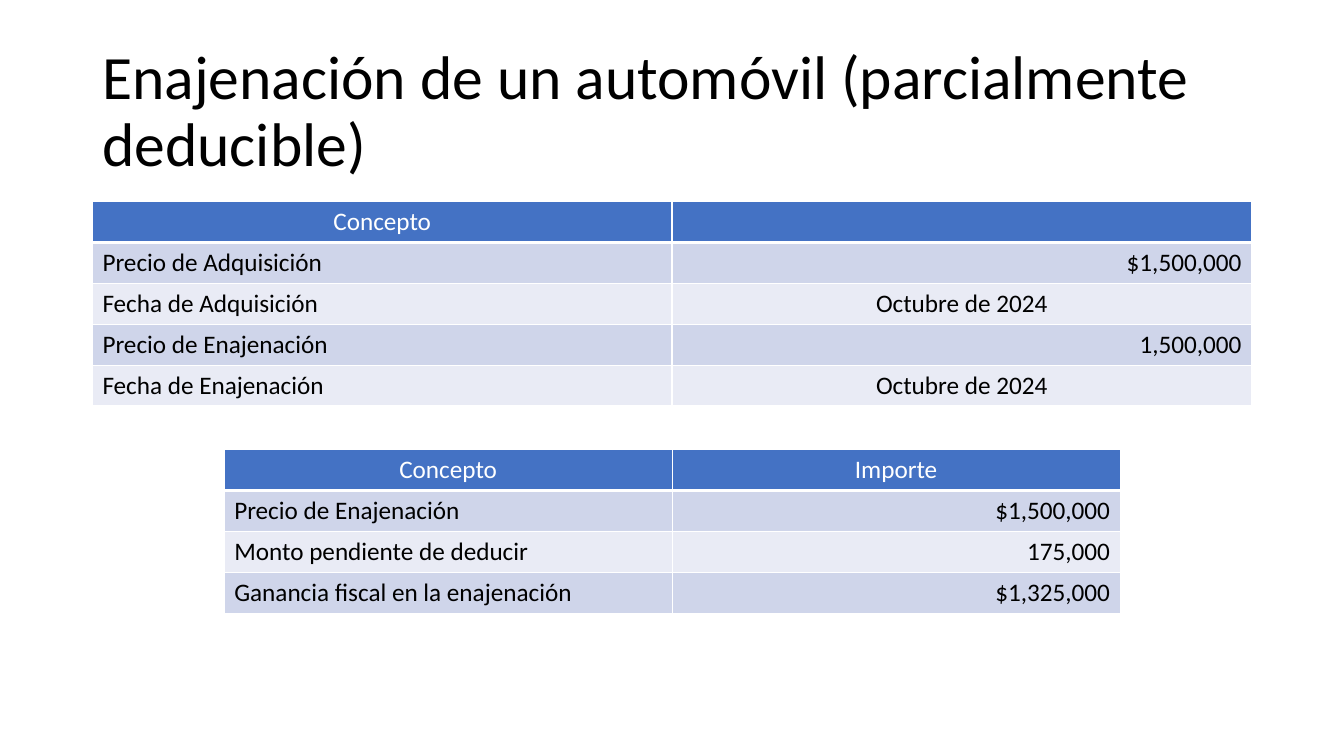
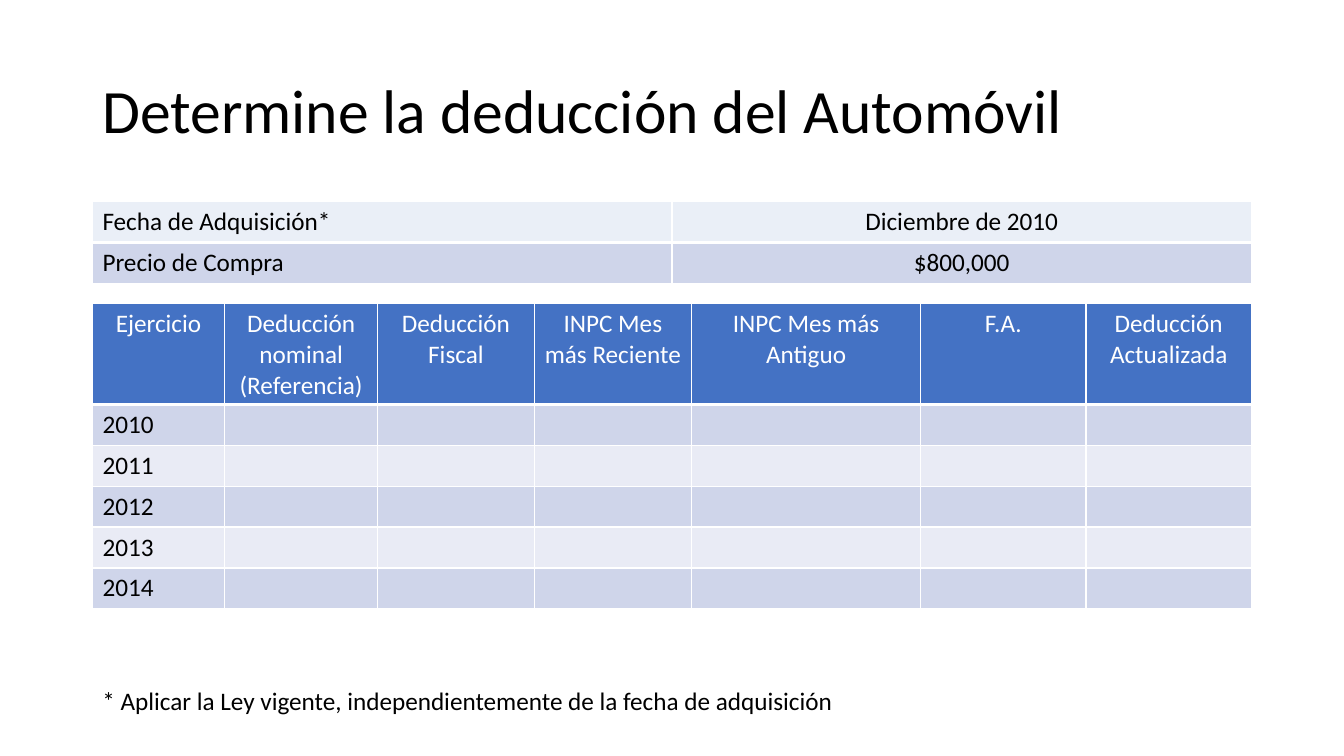
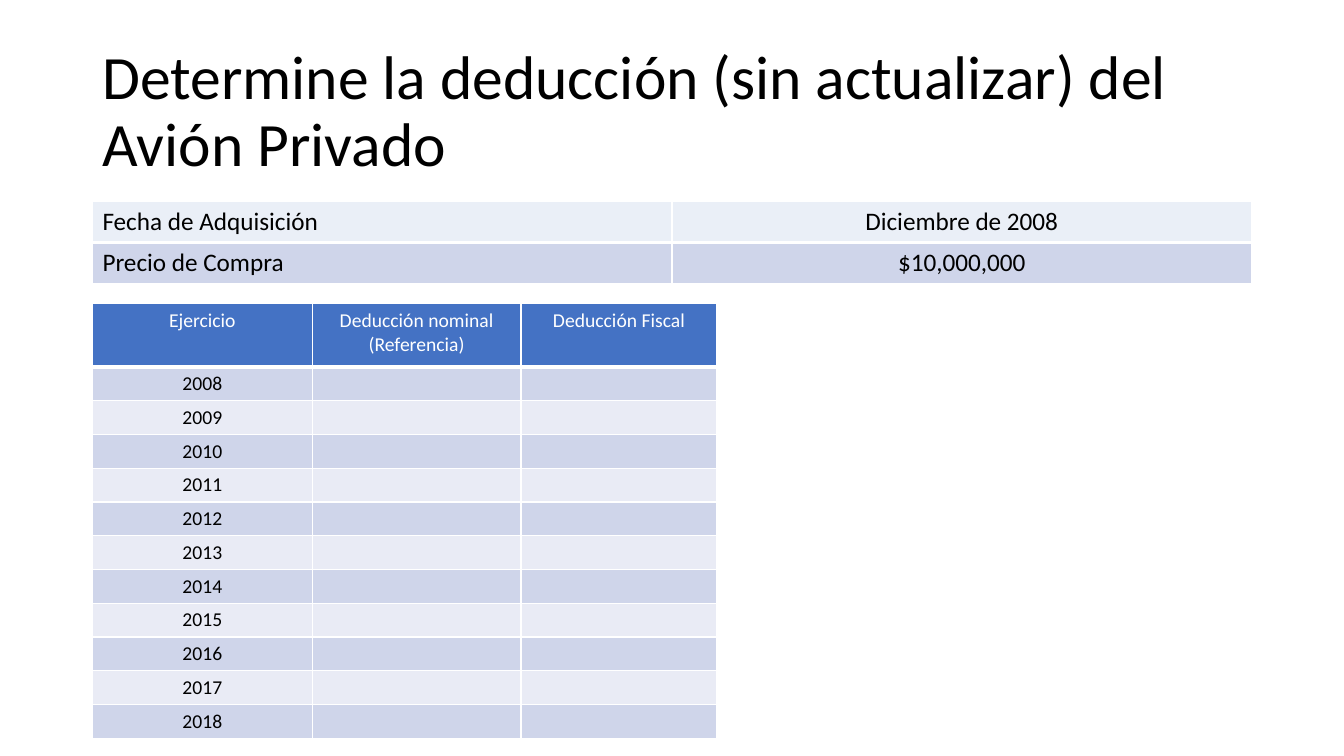
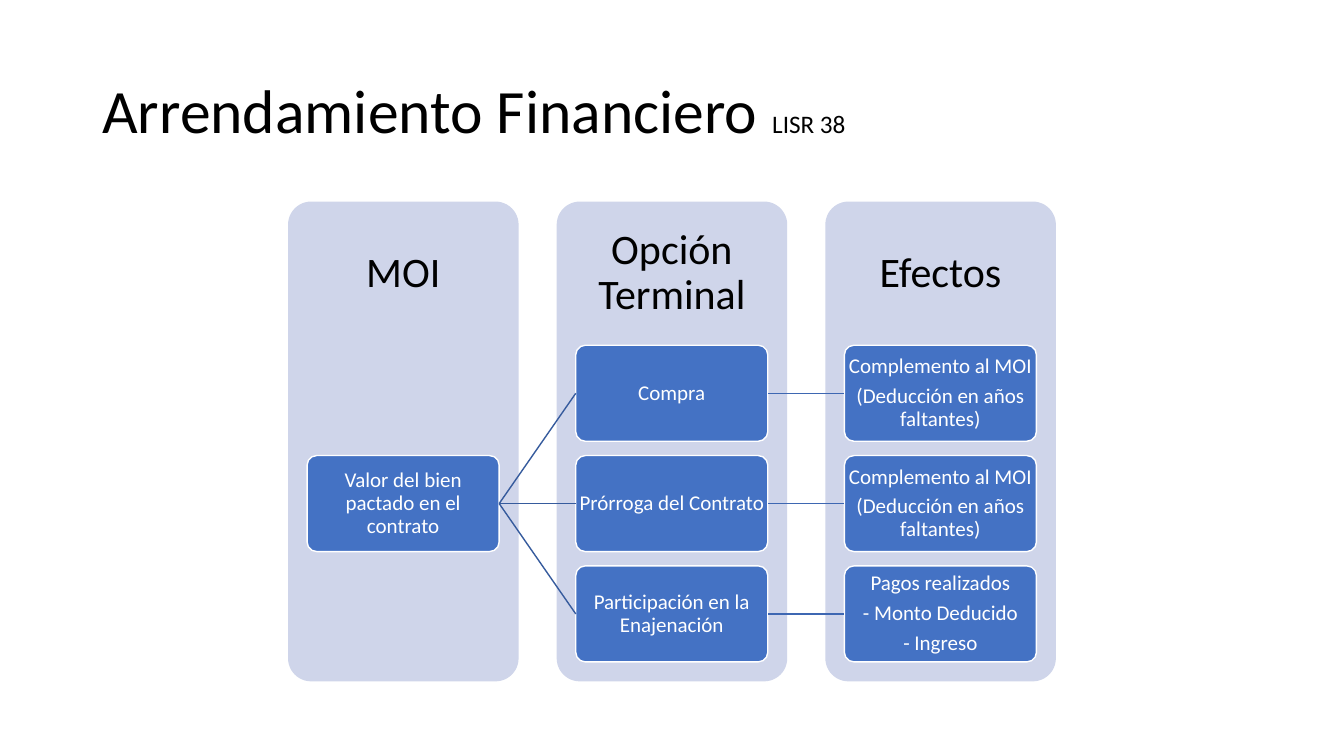
from lxml import etree
from pptx import Presentation
from pptx.dml.color import RGBColor
from pptx.enum.shapes import MSO_CONNECTOR, MSO_SHAPE
from pptx.enum.text import MSO_ANCHOR, PP_ALIGN
from pptx.oxml.ns import qn
from pptx.util import Cm, Pt

ROUND = MSO_SHAPE.ROUNDED_RECTANGLE
LINE = MSO_CONNECTOR.STRAIGHT
MIDDLE, TOP = MSO_ANCHOR.MIDDLE, MSO_ANCHOR.TOP
ALIGN = {"l": PP_ALIGN.LEFT, "c": PP_ALIGN.CENTER, "r": PP_ALIGN.RIGHT}

FONT = "Calibri"
COLORS = {
    "black": "000000", "white": "FFFFFF", "blue": "4472C4",
    "band": "CFD5EA", "pale": "E9EBF5", "ice": "EAEFF7",
    "link": "365B9D", "link2": "3E67B2",
}
LEFT, WIDTH = 2.33, 29.21
HALVES = [WIDTH / 2] * 2


def tint(name):
    return RGBColor.from_string(COLORS[name])


def write(frame, text, size=18, color="black", align="l", anchor=TOP,
          inset=None, lead=None, after=0, note=""):
    """Fill a text frame, one paragraph a line; note is a small closing run."""
    frame.word_wrap = True
    frame.vertical_anchor = anchor
    if inset is not None:
        frame.margin_left = frame.margin_right = Cm(inset)
        frame.margin_top = frame.margin_bottom = Cm(inset)
    lines = text.split("\n")
    for i, line in enumerate(lines):
        para = frame.paragraphs[0] if i == 0 else frame.add_paragraph()
        para.alignment = ALIGN[align]
        if lead:
            para.line_spacing = lead
        if after and i < len(lines) - 1:
            para.space_after = Pt(after)
        for part, pts in ((line, size), (note, 18)):
            if part:
                run = para.add_run()
                run.text = part
                font = run.font
                font.name, font.size, font.bold = FONT, Pt(pts), False
                font.color.rgb = tint(color)
        if not line:
            etree.SubElement(para._p, qn("a:endParaRPr"), sz=str(size * 100))


def edge(cell, base):
    """Give a cell white borders, the lower one base points wide."""
    props = cell._tc.get_or_add_tcPr()
    for side, pts in zip("LRTB", (1, 1, 1, base)):
        line = etree.SubElement(props, qn("a:ln" + side), w=str(Pt(pts)))
        fill = etree.SubElement(line, qn("a:solidFill"))
        etree.SubElement(fill, qn("a:srgbClr"), val=COLORS["white"])


class Deck:
    def __init__(self):
        self.prs = Presentation()
        self.prs.slide_width, self.prs.slide_height = Cm(33.87), Cm(19.05)
        self.slide = None

    def page(self, title, note=""):
        self.slide = self.prs.slides.add_slide(self.prs.slide_layouts[6])
        self.text(title, LEFT, 1.01, WIDTH, 3.68, size=44, anchor=MIDDLE,
                  lead=0.9, note=note)

    def text(self, text, x, y, w, h, **style):
        box = self.slide.shapes.add_textbox(Cm(x), Cm(y), Cm(w), Cm(h))
        write(box.text_frame, text, **style)

    def block(self, x, y, w, h, fill, line=None):
        shape = self.slide.shapes.add_shape(ROUND, Cm(x), Cm(y), Cm(w), Cm(h))
        shape.adjustments[0] = 0.1
        shape.shadow.inherit = False
        shape.fill.solid()
        shape.fill.fore_color.rgb = tint(fill)
        if line:
            shape.line.color.rgb = tint(line)
            shape.line.width = Pt(1)
        else:
            shape.line.fill.background()
        return shape

    def link(self, x1, y1, x2, y2, color):
        line = self.slide.shapes.add_connector(
            LINE, Cm(x1), Cm(y1), Cm(x2), Cm(y2))
        line.line.color.rgb = tint(color)
        line.line.width = Pt(1)
        etree.SubElement(line._element.spPr, qn("a:effectLst"))

    def table(self, rows, aligns, cols, x=LEFT, y=5.08, head=True, size=18,
              first=1.03, step=1.03):
        """Draw a banded table; aligns holds one letter a cell, by row."""
        high = first + step * (len(rows) - 1)
        grid = self.slide.shapes.add_table(
            len(rows), len(cols), Cm(x), Cm(y), Cm(sum(cols)), Cm(high)).table
        grid.first_row, grid.horz_banding = head, False
        for col, wide in zip(grid.columns, cols):
            col.width = Cm(wide)
        for i, (row, marks) in enumerate(zip(rows, aligns)):
            grid.rows[i].height = Cm(step if i else first)
            fill = "band" if i % 2 else "pale"
            if i == 0:
                fill = "blue" if head else "ice"
            for j, (text, mark) in enumerate(zip(row, marks)):
                cell = grid.cell(i, j)
                edge(cell, 1 if i else 3)
                cell.fill.solid()
                cell.fill.fore_color.rgb = tint(fill)
                write(cell.text_frame, text, size=size, align=mark,
                      color="white" if fill == "blue" else "black")

    def facts(self, label, date, price):
        self.table([(label, date), ("Precio de Compra", price)],
                   ["lc", "lc"], HALVES, head=False)

    def years(self, heads, span, cols, mark, **style):
        """Draw a table to fill in, with one row a year."""
        count = len(heads)
        blank = [""] * (count - 1)
        rows = [heads] + [[str(year)] + blank for year in span]
        aligns = ["c" * count] + [mark * count] * len(span)
        self.table(rows, aligns, cols, y=7.65, **style)


def sale(deck):
    deck.page("Enajenación de un automóvil (parcialmente deducible)")
    deck.table([
        ("Concepto", ""),
        ("Precio de Adquisición", "$1,500,000"),
        ("Fecha de Adquisición", "Octubre de 2024"),
        ("Precio de Enajenación", "1,500,000"),
        ("Fecha de Enajenación", "Octubre de 2024"),
    ], ["cc", "lr", "lc", "lr", "lc"], HALVES)
    deck.table([
        ("Concepto", "Importe"),
        ("Precio de Enajenación", "$1,500,000"),
        ("Monto pendiente de deducir", "175,000"),
        ("Ganancia fiscal en la enajenación", "$1,325,000"),
    ], ["cc", "lr", "lr", "lr"], [11.29] * 2, x=5.65, y=11.33)


def car(deck):
    deck.page("Determine la deducción del Automóvil")
    deck.facts("Fecha de Adquisición*", "Diciembre de 2010", "$800,000")
    deck.years(
        ["Ejercicio", "Deducción nominal (Referencia)", "Deducción Fiscal",
         "INPC Mes más Reciente", "INPC Mes más Antiguo", "F.A.",
         "Deducción Actualizada"],
        range(2010, 2015), [3.33, 3.86, 3.94, 3.97, 5.77, 4.17, 4.17], "l",
        first=2.54)
    deck.text("* Aplicar la Ley vigente, independientemente de la fecha de "
              "adquisición", LEFT, 17.15, 19.4, 1.03)


def plane(deck):
    deck.page("Determine la deducción (sin actualizar) del Avión Privado")
    deck.facts("Fecha de Adquisición", "Diciembre de 2008", "$10,000,000")
    deck.years(
        ["Ejercicio", "Deducción nominal (Referencia)", "Deducción Fiscal"],
        range(2008, 2019), [5.54, 5.26, 4.94], "c",
        size=14, first=1.6, step=0.85)


def lease(deck):
    deck.page("Arrendamiento Financiero ", note="LISR 38")
    left, top, wide, pitch = 7.26, 5.08, 5.81, 6.77
    pad, card, high, step = 0.48, 4.84, 2.42, 2.78
    extra = "Complemento al MOI\n(Deducción en años faltantes)"
    panels = [
        ("MOI", {1: "Valor del bien pactado en el contrato"}),
        ("Opción Terminal", {0: "Compra", 1: "Prórroga del Contrato",
                             2: "Participación en la Enajenación"}),
        ("Efectos", {0: extra, 1: extra,
                     2: "Pagos realizados\n- Monto Deducido\n- Ingreso"}),
    ]

    def start(col):
        return left + col * pitch + pad

    def mid(row):
        return 8.7 + row * step + high / 2

    for col, (name, cards) in enumerate(panels):
        x = left + col * pitch
        deck.block(x, top, wide, 12.09, "band")
        deck.text(name, x, top, wide, 3.63, size=30, align="c",
                  anchor=MIDDLE, inset=0.58, lead=0.9)
        for row, text in cards.items():
            shape = deck.block(start(col), mid(row) - high / 2, card, high,
                               "blue", "white")
            write(shape.text_frame, text, size=15, color="white", align="c",
                  anchor=MIDDLE, inset=0.02, lead=0.9, after=5)
    for row in range(3):
        deck.link(start(0) + card, mid(1), start(1), mid(row), "link")
        deck.link(start(1) + card, mid(row), start(2), mid(row), "link2")


def main():
    deck = Deck()
    for build in (sale, car, plane, lease):
        build(deck)
    deck.prs.save("out.pptx")


if __name__ == "__main__":
    main()
